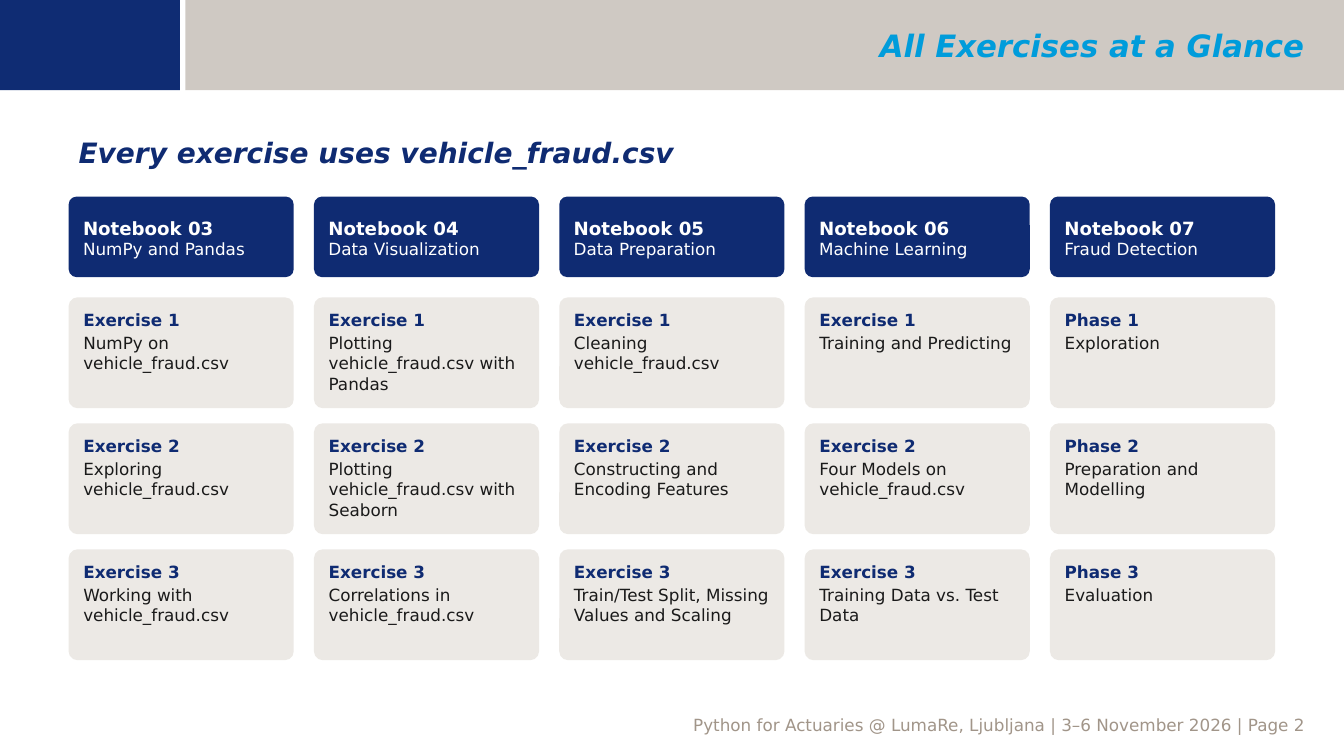
"""Build the slide that lists all course exercises by notebook."""
from dataclasses import dataclass

from lxml.etree import SubElement
from pptx import Presentation
from pptx.dml.color import RGBColor as RGB
from pptx.enum.shapes import MSO_SHAPE as SHAPE
from pptx.enum.text import MSO_ANCHOR as ANCHOR, MSO_AUTO_SIZE as AUTO, PP_ALIGN as ALIGN
from pptx.oxml.ns import qn
from pptx.util import Pt


@dataclass(frozen=True)
class Theme:
    font: str = "DejaVu Sans"
    logo_navy: str = "0F2C73"
    navy: str = "0F2B72"
    cyan: str = "009CDB"
    taupe: str = "A19589"
    card: str = "ECE9E5"
    ink: str = "1A1A1A"
    white: str = "FFFFFF"
    title: int = 22
    subtitle: int = 20
    header: int = 13
    body: int = 12


T = Theme()


def write(tf, text, size=T.body, color=T.ink, bold=False, italic=False, align=ALIGN.LEFT, before=0):
    p = tf.add_paragraph() if tf.text else tf.paragraphs[0]
    p.alignment, p.space_before = align, Pt(before)
    r = p.add_run()
    r.text = text
    r.font.name, r.font.size = T.font, Pt(size)
    r.font.bold, r.font.italic = bold, italic
    r.font.color.rgb = RGB.from_string(color)


def add_box(kind, x, y, w, h, color, radius=None, anchor=ANCHOR.TOP):
    sp = s.shapes.add_shape(kind, Pt(x), Pt(y), Pt(w), Pt(h))
    sp.shadow.inherit = False
    sp.fill.solid()
    sp.fill.fore_color.rgb = RGB.from_string(color)
    sp.line.fill.background()
    if radius:
        sp.adjustments[0] = radius
    tf = sp.text_frame
    tf.word_wrap, tf.vertical_anchor = True, anchor
    tf.margin_left = tf.margin_right = Pt(8.64)
    tf.margin_top, tf.margin_bottom = Pt(7.2), Pt(5.76)
    return sp


prs = Presentation()
prs.slide_width, prs.slide_height = Pt(960), Pt(540)
s = prs.slides.add_slide(prs.slide_layouts[5])

band = add_box(SHAPE.RECTANGLE, 132.5, 0, 827.5, 64.5, T.taupe)
SubElement(band.element.spPr.find(".//" + qn("a:srgbClr")), qn("a:alpha"), val="50000")
corner = add_box(SHAPE.RECTANGLE, 0, 0, 128.5, 64.5, T.logo_navy)

title = s.shapes.title
corner.element.addnext(title.element)
title.left, title.top, title.width, title.height = Pt(145.4), Pt(2.2), Pt(793.4), Pt(60.5)
tf = title.text_frame
tf.word_wrap, tf.auto_size, tf.vertical_anchor = True, AUTO.NONE, ANCHOR.MIDDLE
write(tf, "All Exercises at a Glance", size=T.title, color=T.cyan, bold=True, italic=True,
      align=ALIGN.RIGHT)

subtitle = s.shapes.add_textbox(Pt(49), Pt(93.6), Pt(862), Pt(28.8))
subtitle.text_frame.word_wrap = True
write(subtitle.text_frame, "Every exercise uses vehicle_fraud.csv", size=T.subtitle,
      color=T.navy, bold=True, italic=True)

notebooks = [
    ("Notebook 03", "NumPy and Pandas", "Exercise",
     ["NumPy on vehicle_fraud.csv", "Exploring vehicle_fraud.csv",
      "Working with vehicle_fraud.csv"]),
    ("Notebook 04", "Data Visualization", "Exercise",
     ["Plotting vehicle_fraud.csv with Pandas", "Plotting vehicle_fraud.csv with Seaborn",
      "Correlations in vehicle_fraud.csv"]),
    ("Notebook 05", "Data Preparation", "Exercise",
     ["Cleaning vehicle_fraud.csv", "Constructing and Encoding Features",
      "Train/Test Split, Missing Values and Scaling"]),
    ("Notebook 06", "Machine Learning", "Exercise",
     ["Training and Predicting", "Four Models on vehicle_fraud.csv",
      "Training Data vs. Test Data"]),
    ("Notebook 07", "Fraud Detection", "Phase",
     ["Exploration", "Preparation and Modelling", "Evaluation"]),
]
left, col_step, col_width = 49, 175.25, 160.8
for col, (notebook, topic, label, tasks) in enumerate(notebooks):
    x = left + col * col_step
    header = add_box(SHAPE.ROUNDED_RECTANGLE, x, 140.4, col_width, 57.6, T.navy, 0.1,
                     ANCHOR.MIDDLE)
    write(header.text_frame, notebook, size=T.header, color=T.white, bold=True)
    write(header.text_frame, topic, color=T.white)
    for row, task in enumerate(tasks):
        card = add_box(SHAPE.ROUNDED_RECTANGLE, x, 212.4 + row * 90, col_width, 79.2, T.card, 0.08)
        write(card.text_frame, f"{label} {row + 1}", color=T.navy, bold=True)
        write(card.text_frame, task, before=2)

footer = s.shapes.add_textbox(Pt(54.7), Pt(507.6), Pt(884.9), Pt(6.5))
footer.text_frame.word_wrap = True
write(footer.text_frame, "Python for Actuaries @ LumaRe, Ljubljana | 3–6 November 2026 | Page 2",
      color=T.taupe, align=ALIGN.RIGHT)

prs.save("out.pptx")
